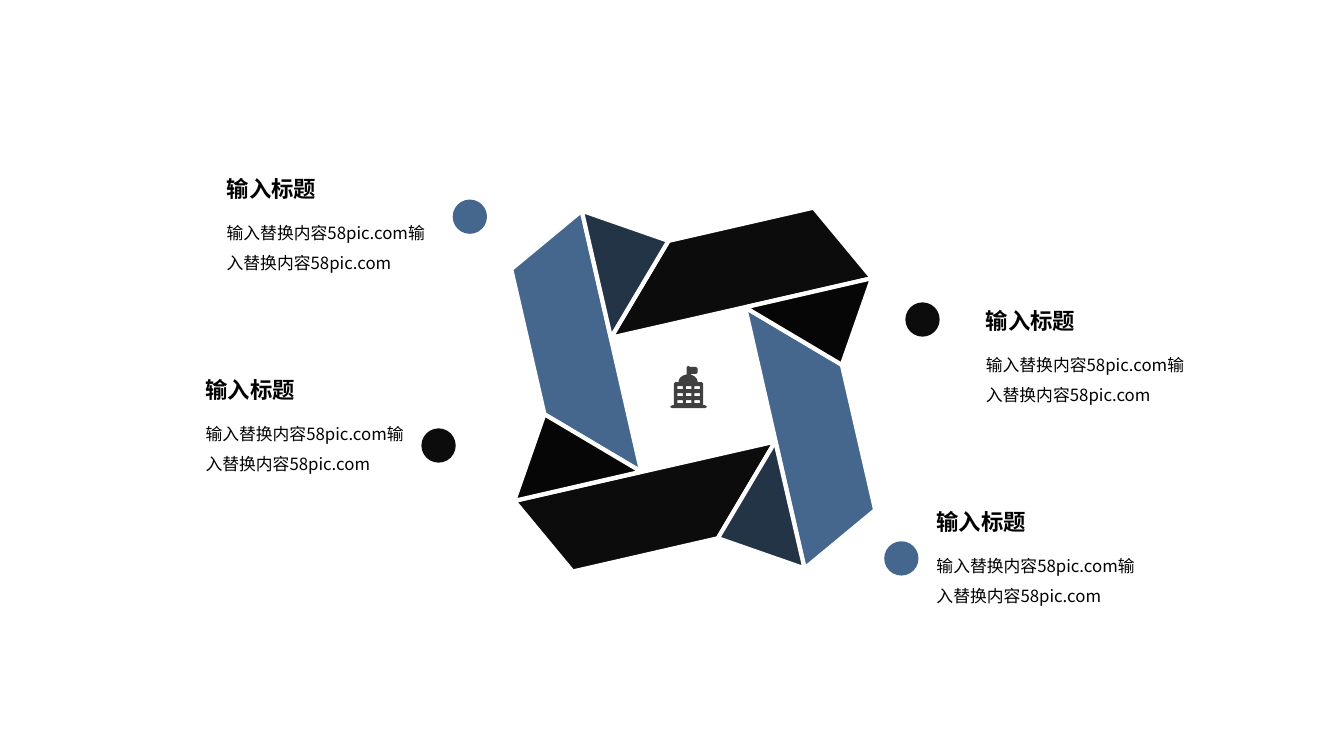
import math

from lxml import etree
from pptx import Presentation
from pptx import util as u
from pptx.dml.color import RGBColor
from pptx.enum import shapes, text
from pptx.oxml import ns

BLUE, NAVY = "45678D", "223446"
BLACK, DEEP_BLACK = "0C0C0C", "060606"
WHITE, GREY, TEXT_COLOR = "FFFFFF", "404040", "000000"

# Label column and row, dot column and row, dot colour
ITEMS = [
    (21.5, 16.9, 44.9, 19.8, BLUE),
    (96.8, 30.0, 89.8, 30.0, BLACK),
    (19.4, 36.8, 41.8, 42.5, BLACK),
    (91.9, 49.9, 87.7, 53.7, BLUE),
]


def color(hex_string):
    return RGBColor.from_string(hex_string)


class SlidePainter:
    """Draws on one slide; lengths are cells of a grid, ten to the inch."""

    cell = u.Inches(0.1)
    font_name = "Noto Sans CJK SC"

    def __init__(self, slide):
        self.slide = slide

    def length(self, cells):
        return round(cells * self.cell)

    def paint(self, shape, fill, line=None):
        shape.shadow.inherit = False
        shape.fill.solid()
        shape.fill.fore_color.rgb = color(fill)
        if line:
            shape.line.color.rgb = color(line)
            shape.line.width = u.Pt(3)
        else:
            shape.line.fill.background()

    def outline(self, contours, fill, line=None):
        """Draw closed contours as one shape; inner contours become holes."""
        first, *holes = [
            [(self.length(x), self.length(y)) for x, y in contour]
            for contour in contours
        ]
        builder = self.slide.shapes.build_freeform(*first[0])
        builder.add_line_segments(first[1:], close=True)
        for hole in holes:
            builder.move_to(*hole[0])
            builder.add_line_segments(hole[1:], close=True)
        self.paint(builder.convert_to_shape(), fill, line)

    def dot(self, column, row, fill, diameter=3.4):
        size = self.length(diameter)
        shape = self.slide.shapes.add_shape(
            shapes.MSO_SHAPE.OVAL, self.length(column), self.length(row), size, size)
        self.paint(shape, fill)

    def text_box(self, content, column, row, columns, rows, size, bold=False, spacing=1.0):
        box = self.slide.shapes.add_textbox(
            *[self.length(cells) for cells in (column, row, columns, rows)])
        frame = box.text_frame
        frame.word_wrap = True
        frame.auto_size = text.MSO_AUTO_SIZE.SHAPE_TO_FIT_TEXT
        paragraph = frame.paragraphs[0]
        paragraph.text = content
        paragraph.line_spacing = spacing
        font = paragraph.font
        font.size = u.Pt(size)
        font.bold = bold
        font.color.rgb = color(TEXT_COLOR)
        font.name = self.font_name
        latin = paragraph._p.find(".//" + ns.qn("a:latin"))
        east_asian = etree.Element(ns.qn("a:ea"), typeface=self.font_name)
        latin.addnext(east_asian)

    def label(self, column, row):
        self.text_box("输入替换内容58pic.com输入替换内容58pic.com",
                      column, row + 3.7, 22, 6.7, 12, spacing=1.5)
        self.text_box("输入标题", column, row, 11.9, 3.7, 16, bold=True)

    def pinwheel(self, center_x, center_y):
        """Draw four bands and four folds, each a quarter turn from the last."""
        notch, inner, tip, corner = (
            (-2.45, -14.75), (-8.15, -5.15), (17.75, -11.05), (11.95, -18.05))
        fold_tip = (tip[1], -tip[0])
        pieces = [
            ([notch, inner, tip, corner], (BLACK, BLUE)),
            ([fold_tip, notch, inner], (NAVY, DEEP_BLACK)),
        ]
        for points, fills in pieces:
            for turn in range(4):
                contour = [(center_x + x, center_y + y) for x, y in points]
                self.outline([contour], fills[turn % 2], WHITE)
                points = [(-y, x) for x, y in points]

    def building(self, left, top):
        """Draw a domed building with a flag and a grid of windows."""
        dome = [
            (1.75 + 0.95 * math.cos(angle), 1.6 - 0.75 * math.sin(angle))
            for angle in (math.radians(10 * step) for step in range(19))
        ]
        right_dome = [point for point in dome if point[0] > 1.99]
        left_dome = [point for point in dome if point[0] < 1.6]
        walls = [
            (0.2, 4.2), (0, 4.1), (0, 4), (0.2, 3.9), (0.35, 3.9), (0.35, 1.75),
            (0.5, 1.6), *left_dome[::-1], (1.6, 0.9), (1.6, 0.15), (1.75, 0),
            (1.95, 0.1), (2.55, 0.1), (2.7, 0.25), (2.7, 0.65), (2.55, 0.8),
            (2, 0.8), *right_dome[::-1], (3.1, 1.6), (3.25, 1.75), (3.25, 3.9),
            (3.4, 3.9), (3.6, 4), (3.6, 4.1), (3.4, 4.2),
        ]
        windows = [
            [(x, y), (x + 0.55, y), (x + 0.55, y + 0.3), (x, y + 0.3)]
            for y in (2, 2.7, 3.4) for x in (0.68, 1.53, 2.38)
        ]
        contours = [[(left + x, top + y) for x, y in contour]
                    for contour in [walls, *windows]]
        self.outline(contours, GREY)


def main():
    presentation = Presentation()
    presentation.slide_width = u.Inches(13.33)
    presentation.slide_height = u.Inches(7.5)
    painter = SlidePainter(presentation.slides.add_slide(presentation.slide_layouts[6]))
    painter.pinwheel(68.75, 38.65)
    for _, _, column, row, fill in ITEMS:
        painter.dot(column, row, fill)
    painter.building(66.5, 36.3)
    for column, row, *_ in ITEMS:
        painter.label(column, row)
    presentation.save("out.pptx")


if __name__ == "__main__":
    main()
